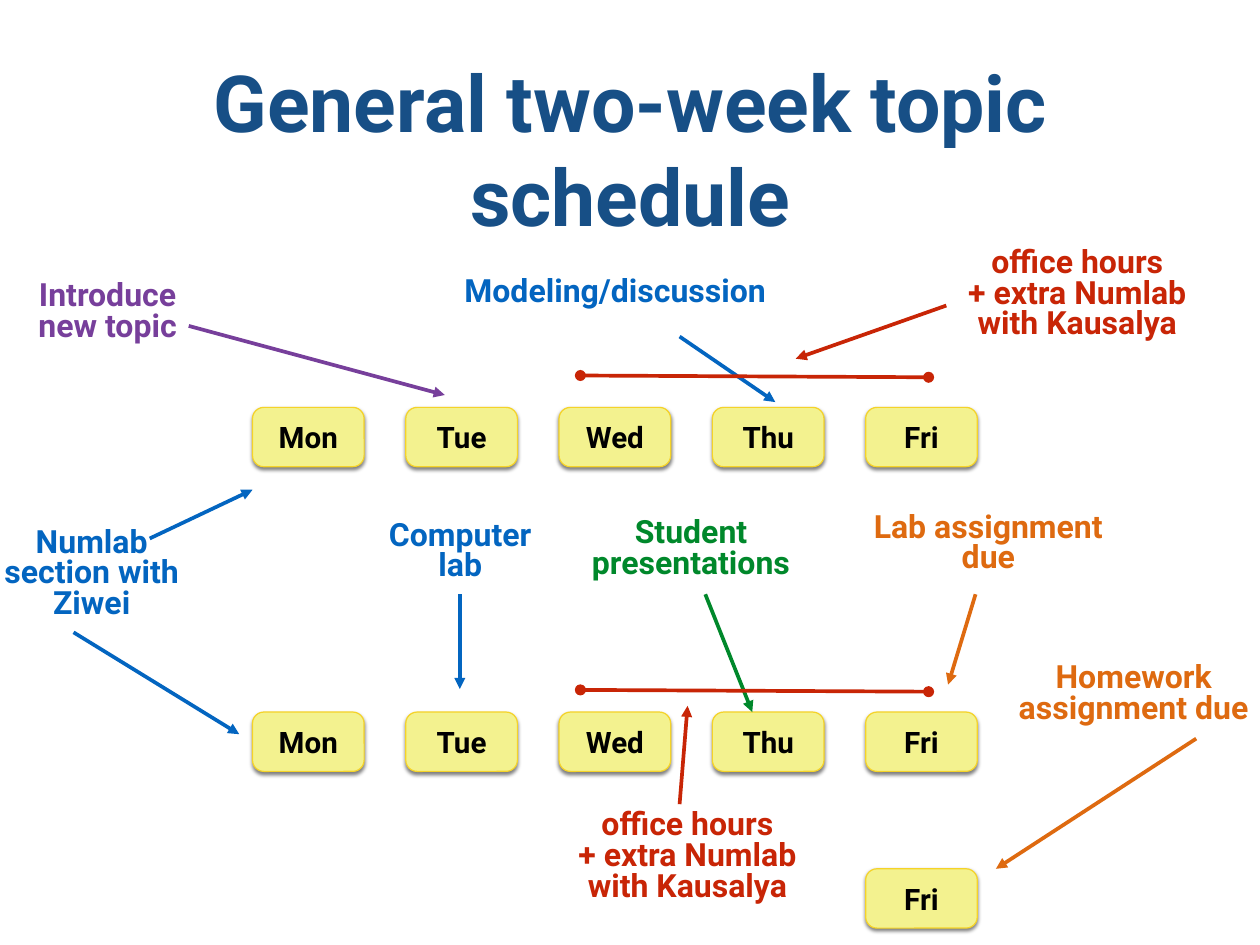
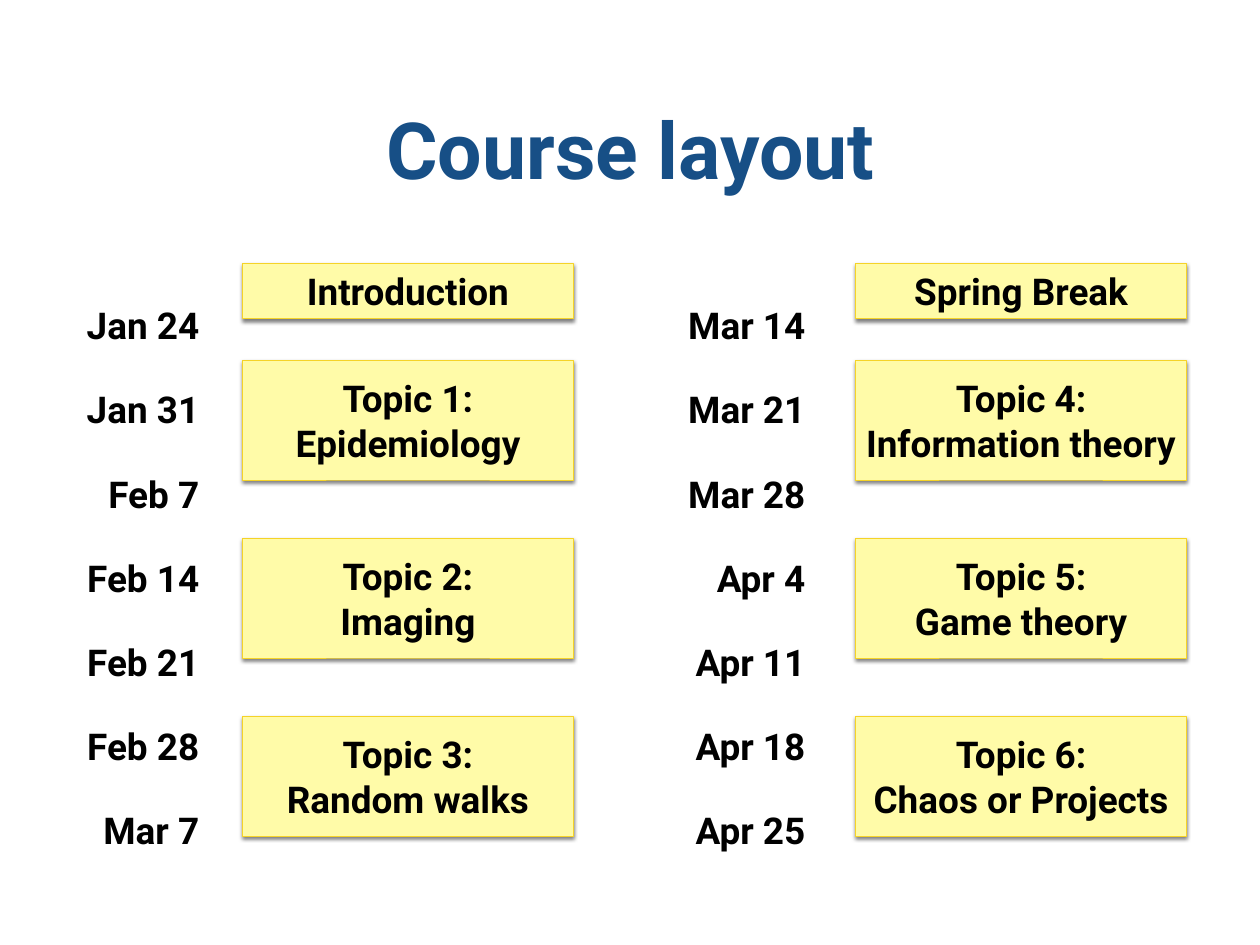
from lxml import etree
from pptx import Presentation
from pptx.dml.color import RGBColor
from pptx.enum.shapes import MSO_CONNECTOR as Connector, MSO_SHAPE as Shape
from pptx.enum.text import MSO_ANCHOR as Anchor, MSO_AUTO_SIZE as AutoSize, PP_ALIGN as Align
from pptx.oxml.ns import qn
from pptx.util import Inches, Pt

COLOURS = {
    "title": "174F86", "ink": "000000", "border": "F5D328",
    "day": "F3F28F", "topic": "FFFBA8",
    "purple": "773F9B", "blue": "0365C0", "red": "C82506",
    "green": "00882B", "orange": "DE6A10",
}
FONT = "Roboto"
INSET = Inches(0.06)


def colour(name):
    return RGBColor.from_string(COLOURS[name])


class Deck:
    """Holds the presentation, its style and the current slide."""

    def __init__(self):
        self.prs = Presentation()
        self.prs.slide_width = Inches(14.22)
        self.prs.slide_height = Inches(10.67)
        self.slide = None

    def new_slide(self, title):
        self.slide = self.prs.slides.add_slide(self.prs.slide_layouts[6])
        self.text([title], (0.48, 0.49, 13.27, 2.36), 64, "title")

    def fill_text(self, frame, lines, size, ink, align=Align.CENTER, spacing=None):
        frame.margin_left = frame.margin_right = INSET
        frame.margin_top = frame.margin_bottom = INSET
        frame.vertical_anchor = Anchor.MIDDLE
        for index, line in enumerate(lines):
            paragraph = frame.add_paragraph() if index else frame.paragraphs[0]
            paragraph.alignment = align
            if spacing:
                paragraph.line_spacing = spacing
            run = paragraph.add_run()
            run.text = line
            run.font.name = FONT
            run.font.size = Pt(size)
            run.font.bold = True
            run.font.color.rgb = colour(ink)

    def text(self, lines, box, size, ink, **layout):
        frame = self.slide.shapes.add_textbox(*map(Inches, box)).text_frame
        frame.word_wrap = True
        self.fill_text(frame, lines, size, ink, **layout)
        return frame

    def note(self, lines, box, ink):
        frame = self.text(lines, box, 26, ink, spacing=0.8)
        frame.auto_size = AutoSize.SHAPE_TO_FIT_TEXT

    def dates(self, lines, box):
        frame = self.text(lines, box, 30, "ink", align=Align.RIGHT, spacing=1.9)
        frame.word_wrap = False
        frame.auto_size = AutoSize.SHAPE_TO_FIT_TEXT

    def card(self, kind, lines, box, fill, size, border):
        card = self.slide.shapes.add_shape(kind, *map(Inches, box))
        card.fill.solid()
        card.fill.fore_color.rgb = colour(fill)
        card.line.color.rgb = colour("border")
        card.line.width = Pt(border)
        self.drop_shadow(card)
        self.fill_text(card.text_frame, lines, size, "ink")
        return card

    def drop_shadow(self, card):
        card.shadow.inherit = False
        effects = card._element.spPr.find(qn("a:effectLst"))
        shadow = etree.SubElement(effects, qn("a:outerShdw"), blurRad=str(Pt(3)),
                                  dist=str(Pt(2)), dir="5400000", rotWithShape="0")
        black = etree.SubElement(shadow, qn("a:srgbClr"), val=COLOURS["ink"])
        etree.SubElement(black, qn("a:alpha"), val="50000")

    def day(self, name, left, top):
        card = self.card(Shape.ROUNDED_RECTANGLE, [name], (left, top, 1.26, 0.67),
                         "day", 24, 1)
        card.adjustments[0] = 0.19

    def topic(self, lines, left, top, height):
        self.card(Shape.RECTANGLE, lines, (left, top, 3.73, height), "topic", 30, 0.75)

    def line(self, ends, ink, head=None, tail="triangle"):
        line = self.slide.shapes.add_connector(Connector.STRAIGHT, *map(Inches, ends))
        line.line.color.rgb = colour(ink)
        line.line.width = Pt(3)
        properties = line._element.spPr
        outline = properties.find(qn("a:ln"))
        for tag, tip in (("a:headEnd", head), ("a:tailEnd", tail)):
            if tip:
                etree.SubElement(outline, qn(tag), type=tip)
        etree.SubElement(properties, qn("a:effectLst"))


def schedule_slide(deck):
    deck.new_slide("General two-week topic schedule")

    first_left, pitch = 2.85, 1.73
    days = ["Mon", "Tue", "Wed", "Thu", "Fri"]
    for week_top in (4.6, 8.04):
        for column, name in enumerate(days):
            deck.day(name, first_left + column * pitch, week_top)
    deck.day("Fri", first_left + 4 * pitch, 9.81)

    office_hours = ["office hours", "+ extra Numlab with Kausalya"]
    activities = [
        ("purple", ["Introduce new topic"], (0.12, 3.09, 2.19, 0.89),
         [(2.13, 3.68, 5.02, 4.46)]),
        ("blue", ["Modeling/discussion"], (4.92, 3.08, 4.05, 0.46),
         [(7.67, 3.8, 8.75, 4.54)]),
        ("red", office_hours, (10.78, 2.75, 2.76, 1.16),
         [(10.68, 3.45, 8.98, 4.05)]),
        ("blue", ["Numlab section with Ziwei"], (-0.06, 5.91, 2.19, 1.16),
         [(1.69, 6.08, 2.85, 5.53), (0.83, 7.14, 2.7, 8.29)]),
        ("blue", ["Computer lab"], (4.1, 5.83, 2.19, 0.81),
         [(5.19, 6.71, 5.19, 7.78)]),
        ("green", ["Student presentations"], (6.13, 5.8, 3.34, 0.81),
         [(7.96, 6.71, 8.49, 8.04)]),
        ("orange", ["Lab assignment due"], (9.51, 5.7, 3.29, 0.89),
         [(11.01, 6.71, 10.7, 7.73)]),
        ("orange", ["Homework assignment due"], (11.15, 7.44, 3.29, 0.81),
         [(13.5, 8.34, 11.24, 9.81)]),
        ("red", office_hours, (6.38, 9.1, 2.76, 1.16),
         [(7.67, 9.08, 7.76, 7.97)]),
    ]
    for ink, lines, box, arrows in activities:
        for ends in arrows:
            deck.line(ends, ink)
        deck.note(lines, box, ink)

    for span_top in (4.24, 7.79):
        deck.line((6.55, span_top, 10.48, span_top + 0.02), "red", "oval", "oval")


def layout_slide(deck):
    deck.new_slide("Course layout")

    halves = [
        (0.87, 1.44, 2.74,
         ["Jan 24", "Jan 31", "Feb 7", "Feb 14", "Feb 21", "Feb 28", "Mar 7"],
         "Introduction",
         ["Epidemiology", "Imaging", "Random walks"]),
        (7.59, 1.56, 9.66,
         ["Mar 14", "Mar 21", "Mar 28", "Apr 4", "Apr 11", "Apr 18", "Apr 25"],
         "Spring Break",
         ["Information theory", "Game theory", "Chaos or Projects"]),
    ]
    number = 0
    for dates_left, dates_width, topics_left, dates, opening, subjects in halves:
        deck.dates(dates, (dates_left, 2.88, dates_width, 6.83))
        deck.topic([opening], topics_left, 2.97, 0.63)
        for row, subject in enumerate(subjects):
            number += 1
            deck.topic([f"Topic {number}:", subject], topics_left, 4.07 + row * 2.01, 1.35)


def main():
    deck = Deck()
    schedule_slide(deck)
    layout_slide(deck)
    deck.prs.save("out.pptx")


if __name__ == "__main__":
    main()
